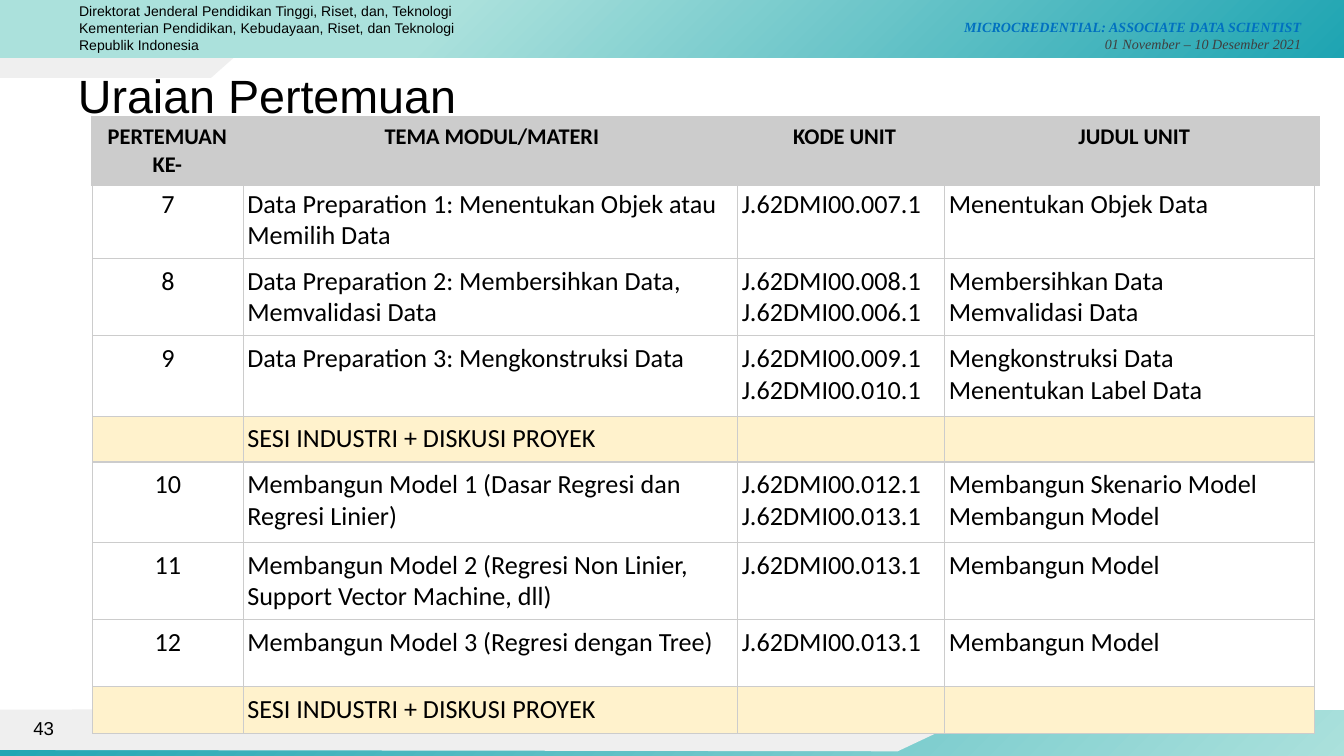
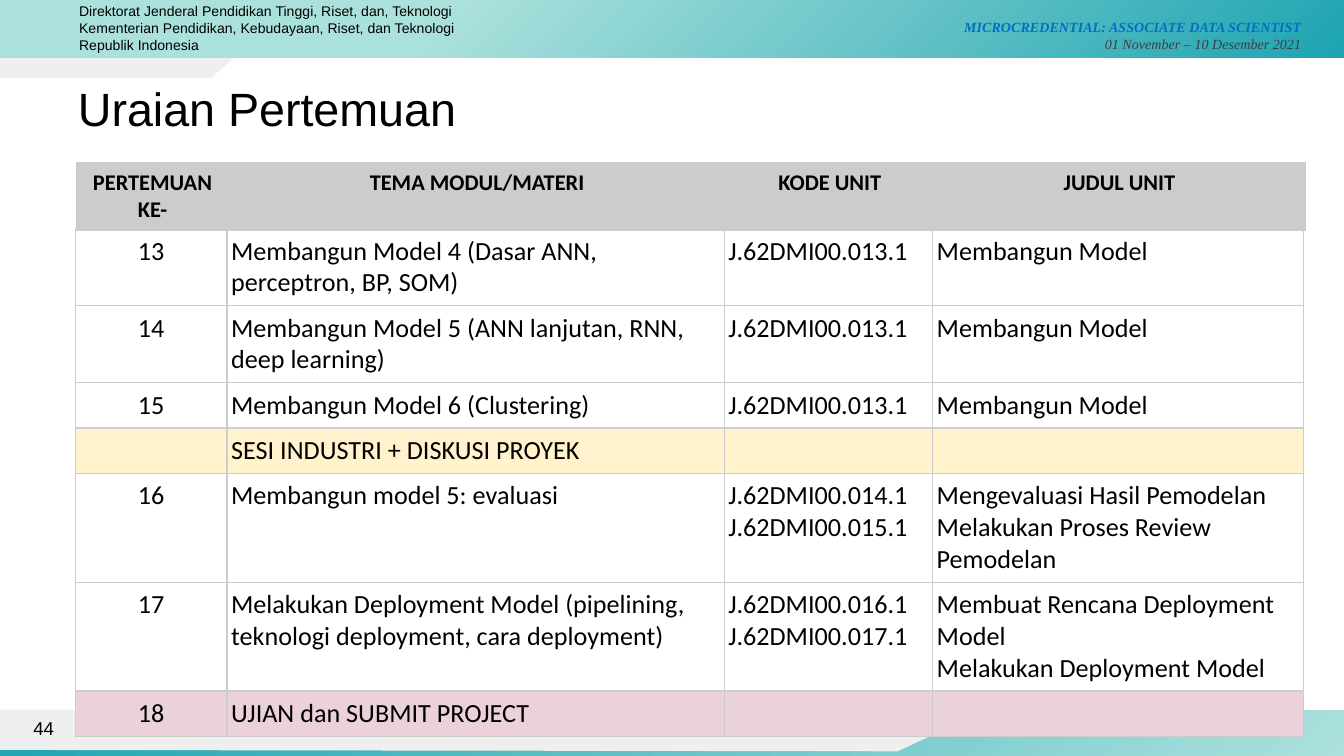
import pptx
import pptx.util
import pptx.dml.color
import pptx.enum.shapes
import pptx.enum.text
import pptx.oxml.ns
from lxml import etree

Inches = pptx.util.Inches
Pt = pptx.util.Pt
RGBColor = pptx.dml.color.RGBColor
PP_ALIGN = pptx.enum.text.PP_ALIGN
MSO_ANCHOR = pptx.enum.text.MSO_ANCHOR
MSO_AUTO_SIZE = pptx.enum.text.MSO_AUTO_SIZE
qn = pptx.oxml.ns.qn

BLACK = RGBColor(0x00, 0x00, 0x00)
TEAL = RGBColor(0x1E, 0xA4, 0xB2)
MINT = RGBColor(0xAB, 0xE1, 0xDC)
PALE = RGBColor(0xEF, 0xEF, 0xEF)
BLUE = RGBColor(0x00, 0x70, 0xC0)
DARK = RGBColor(0x3F, 0x3F, 0x3F)
GRID = RGBColor(0xCC, 0xCC, 0xCC)
CREAM = RGBColor(0xFF, 0xF2, 0xCC)
PINK = RGBColor(0xEA, 0xD1, 0xDC)

COLS = [1.13, 3.7, 1.55, 2.76]
NARROW_COLS = [1.12, 3.68, 1.54, 2.75]
HEADINGS = ("PERTEMUAN KE-", "TEMA MODUL/MATERI", "KODE UNIT", "JUDUL UNIT")
INDUSTRY = ("", "SESI INDUSTRI + DISKUSI PROYEK", "", "")

MEETINGS_7_12 = [
    ("7", "Data Preparation 1: Menentukan Objek atau Memilih Data",
     "J.62DMI00.007.1", "Menentukan Objek Data"),
    ("8", "Data Preparation 2: Membersihkan Data, Memvalidasi Data",
     "J.62DMI00.008.1\nJ.62DMI00.006.1", "Membersihkan Data\nMemvalidasi Data"),
    ("9", "Data Preparation 3: Mengkonstruksi Data",
     "J.62DMI00.009.1\nJ.62DMI00.010.1", "Mengkonstruksi Data\nMenentukan Label Data"),
    INDUSTRY,
    ("10", "Membangun Model 1 (Dasar Regresi dan Regresi Linier)",
     "J.62DMI00.012.1\nJ.62DMI00.013.1", "Membangun Skenario Model\nMembangun Model"),
    ("11", "Membangun Model 2 (Regresi Non Linier, Support Vector Machine, dll)",
     "J.62DMI00.013.1", "Membangun Model"),
    ("12", "Membangun Model 3 (Regresi dengan Tree)", "J.62DMI00.013.1", "Membangun Model"),
    INDUSTRY,
]
MEETINGS_13_18 = [
    ("13", "Membangun Model 4 (Dasar ANN, perceptron, BP, SOM)",
     "J.62DMI00.013.1", "Membangun Model"),
    ("14", "Membangun Model 5 (ANN lanjutan, RNN, deep learning)",
     "J.62DMI00.013.1", "Membangun Model"),
    ("15", "Membangun Model 6 (Clustering)", "J.62DMI00.013.1", "Membangun Model"),
    INDUSTRY,
    ("16", "Membangun model 5: evaluasi", "J.62DMI00.014.1\nJ.62DMI00.015.1",
     "Mengevaluasi Hasil Pemodelan\nMelakukan Proses Review Pemodelan"),
    ("17", "Melakukan Deployment Model (pipelining, teknologi deployment, cara deployment)",
     "J.62DMI00.016.1\nJ.62DMI00.017.1",
     "Membuat Rencana Deployment Model\nMelakukan Deployment Model"),
    ("18", "UJIAN dan SUBMIT PROJECT", "", ""),
]


def format_paragraph(p, size, font, color=BLACK, bold=False, align=PP_ALIGN.LEFT):
    p.alignment = align
    for r in p.runs:
        r.font.size = Pt(size)
        r.font.name = font
        r.font.bold = bold
        r.font.color.rgb = color
    sz = str(int(size * 100))
    for br in p._p.findall(qn("a:br")):
        etree.SubElement(br, qn("a:rPr"), sz=sz)
    if not p.runs:
        etree.SubElement(p._p, qn("a:endParaRPr"), sz=sz)


def add_text(s, text, x, y, w, h):
    sp = s.shapes.add_textbox(Inches(x), Inches(y), Inches(w), Inches(h))
    tf = sp.text_frame
    tf.word_wrap = True
    tf.text = text
    return tf


def add_gradient_band(s, y, h, stops):
    sp = s.shapes.add_shape(pptx.enum.shapes.MSO_SHAPE.RECTANGLE,
                            0, Inches(y), Inches(10), Inches(h))
    sp.shadow.inherit = False
    sp.line.fill.background()
    sp.fill.gradient()
    grad = sp.element.spPr.find(qn("a:gradFill"))
    for child in list(grad):
        grad.remove(child)
    gs_list = etree.SubElement(grad, qn("a:gsLst"))
    for pos, color in stops:
        gs = etree.SubElement(gs_list, qn("a:gs"), pos=str(pos * 1000))
        etree.SubElement(gs, qn("a:srgbClr"), val=str(color))
    circle = etree.SubElement(grad, qn("a:path"), path="circle")
    etree.SubElement(circle, qn("a:fillToRect"), l="100000", t="100000")


def add_tab(s, points):
    corners = [(Inches(x), Inches(y)) for x, y in points]
    fb = s.shapes.build_freeform(*corners[0])
    fb.add_line_segments(corners[1:], close=True)
    sp = fb.convert_to_shape()
    sp.shadow.inherit = False
    sp.fill.solid()
    sp.fill.fore_color.rgb = PALE
    sp.line.fill.background()


def add_frame(s):
    add_tab(s, [(1.83, 0.35), (0, 0.33), (0, 0.58), (1.57, 0.58)])
    add_gradient_band(s, 5.29, 0.36, [(0, MINT), (100, TEAL)])
    add_tab(s, [(7.36, 5.27), (0, 5.28), (0, 5.58), (6.68, 5.59)])
    add_gradient_band(s, 0, 0.43, [(0, TEAL), (67, MINT), (100, MINT)])

    tf = add_text(s, "", 5.95, 0.05, 3.83, 0.39)
    tf.margin_top = Inches(0.09)
    p = tf.paragraphs[0]
    p.text = "MICROCREDENTIAL: ASSOCIATE DATA SCIENTIST\n01 November – 10 Desember 2021"
    format_paragraph(p, 7.5, "Times New Roman", DARK, align=PP_ALIGN.RIGHT)
    for r in p.runs:
        r.font.italic = True
    p.runs[0].font.bold = True
    p.runs[0].font.color.rgb = BLUE

    tf = add_text(s, "Direktorat Jenderal Pendidikan Tinggi, Riset, dan, Teknologi\n"
                  "Kementerian Pendidikan, Kebudayaan, Riset, dan Teknologi Republik Indonesia",
                  0.49, -0.03, 3.33, 0.48)
    for p in tf.paragraphs:
        format_paragraph(p, 7.5, "Arial")


def add_title(s, y):
    sp = s.shapes.title
    s.shapes.element.append(sp.element)
    sp.left, sp.top, sp.width, sp.height = Inches(0.48), Inches(y), Inches(9.32), Inches(0.63)
    tf = sp.text_frame
    tf.text = "Uraian Pertemuan"
    tf.word_wrap = True
    tf.auto_size = MSO_AUTO_SIZE.NONE
    tf.vertical_anchor = MSO_ANCHOR.MIDDLE
    format_paragraph(tf.paragraphs[0], 25, "Arial")


def add_page_number(s, number):
    tf = add_text(s, str(number), 0, 5.27, 0.5, 0.3)
    tf.vertical_anchor = MSO_ANCHOR.MIDDLE
    format_paragraph(tf.paragraphs[0], 10, "Arial", align=PP_ALIGN.RIGHT)


def set_cell(cell, text, size, fill, bold, align):
    cell.margin_left = cell.margin_right = Inches(0.03)
    cell.margin_top = cell.margin_bottom = Inches(0.05)
    p = cell.text_frame.paragraphs[0]
    p.text = text
    format_paragraph(p, size, "Calibri", bold=bold, align=align)
    tc_pr = cell._tc.get_or_add_tcPr()
    for side in ("lnL", "lnR", "lnT", "lnB"):
        ln = etree.SubElement(tc_pr, qn("a:" + side), w=str(Pt(0.75)))
        solid = etree.SubElement(ln, qn("a:solidFill"))
        etree.SubElement(solid, qn("a:srgbClr"), val=str(GRID))
    if fill is None:
        cell.fill.background()
    else:
        cell.fill.solid()
        cell.fill.fore_color.rgb = fill


def add_grid(s, x, y, cols, heights):
    gf = s.shapes.add_table(len(heights), len(cols), Inches(x), Inches(y),
                            Inches(sum(cols)), Inches(sum(heights)))
    table = gf.table
    table.first_row = table.horz_banding = False
    for col, width in zip(table.columns, cols):
        col.width = Inches(width)
    for row, height in zip(table.rows, heights):
        row.height = Inches(height)
    return table


def add_heading_table(s, x, y, height):
    table = add_grid(s, x, y, COLS, [height])
    for c, text in enumerate(HEADINGS):
        set_cell(table.cell(0, c), text, 12, GRID, True, PP_ALIGN.CENTER)


def add_meeting_table(s, x, y, cols, heights, meetings):
    table = add_grid(s, x, y, cols, heights)
    for r, meeting in enumerate(meetings):
        fill = CREAM if meeting == INDUSTRY else PINK if meeting[0] == "18" else None
        for c, text in enumerate(meeting):
            align = PP_ALIGN.CENTER if c == 0 else PP_ALIGN.LEFT
            set_cell(table.cell(r, c), text, 14, fill, False, align)


def add_slide(prs, title_y):
    s = prs.slides.add_slide(prs.slide_layouts[5])
    add_frame(s)
    add_title(s, title_y)
    return s


def main():
    prs = pptx.Presentation()
    prs.slide_width = Inches(10)
    prs.slide_height = prs.slide_width * 9 // 16

    s = add_slide(prs, 0.39)
    add_meeting_table(s, 0.69, 1.35, NARROW_COLS,
                      [0.44, 0.52, 0.6, 0.34, 0.6, 0.51, 0.5, 0.35], MEETINGS_7_12)
    add_heading_table(s, 0.68, 0.87, 0.43)
    add_page_number(s, 43)

    s = add_slide(prs, 0.49)
    add_heading_table(s, 0.57, 1.21, 0.39)
    add_meeting_table(s, 0.56, 1.7, COLS,
                      [0.46, 0.44, 0.32, 0.24, 0.71, 0.63, 0.32], MEETINGS_13_18)
    add_page_number(s, 44)

    prs.save("out.pptx")


if __name__ == "__main__":
    main()
